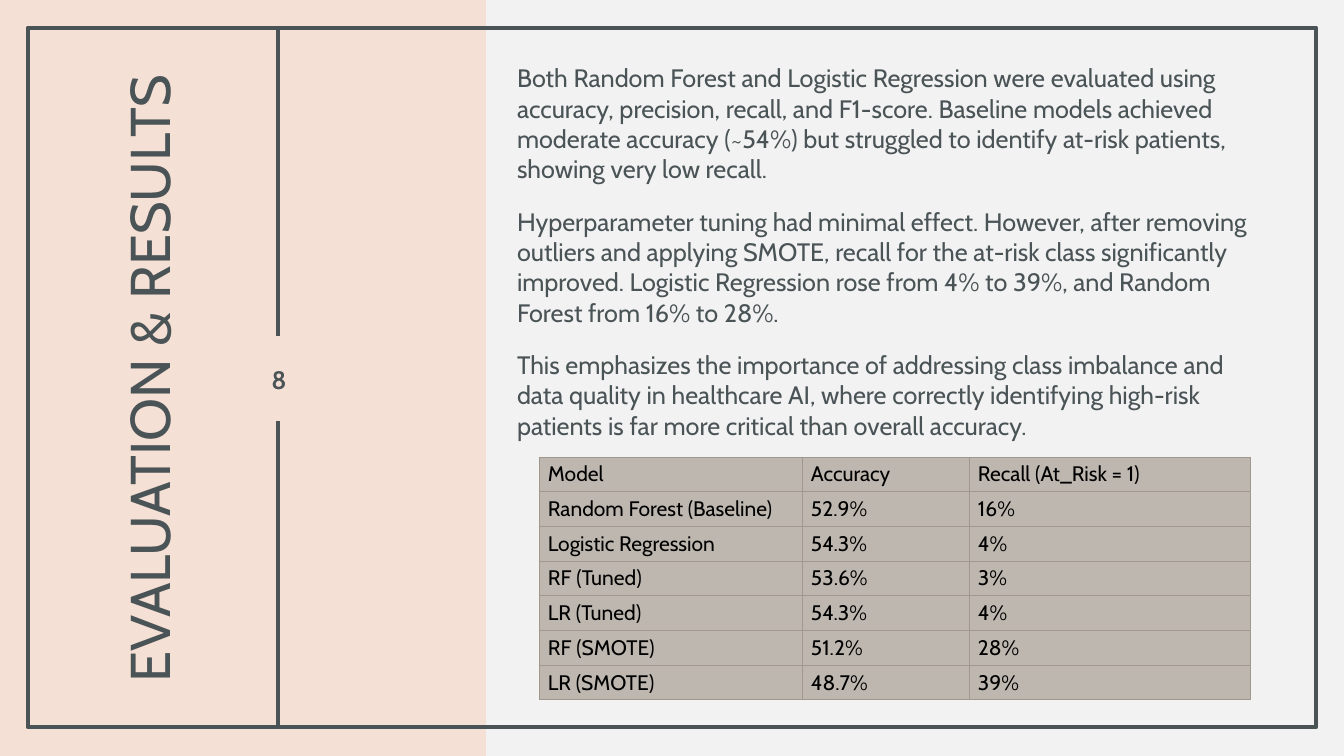
from lxml import etree
from pptx import Presentation
from pptx import util as u
from pptx.dml.color import RGBColor
from pptx.enum import shapes, text
from pptx.oxml.ns import qn

SCALE = 914400 / 100.8  # EMU in one px
FONT = "Cabin"
SLATE, PEACH, PAPER = "4A5356", "F5E0D5", "F2F2F2"
CELL_FILL, CELL_BORDER, BLACK = "BDB7AF", "A0988C", "000000"

FINDINGS = [
    "Both Random Forest and Logistic Regression were evaluated using accuracy, "
    "precision, recall, and F1-score. Baseline models achieved moderate accuracy "
    "(~54%) but struggled to identify at-risk patients, showing very low recall.",
    "Hyperparameter tuning had minimal effect. However, after removing outliers and "
    "applying SMOTE, recall for the at-risk class significantly improved. Logistic "
    "Regression rose from 4% to 39%, and Random Forest from 16% to 28%.",
    "This emphasizes the importance of addressing class imbalance and data quality "
    "in healthcare AI, where correctly identifying high-risk patients is far more "
    "critical than overall accuracy.",
]

RESULTS = [
    ("Model", "Accuracy", "Recall (At_Risk = 1)"),
    ("Random Forest (Baseline)", "52.9%", "16%"),
    ("Logistic Regression", "54.3%", "4%"),
    ("RF (Tuned)", "53.6%", "3%"),
    ("LR (Tuned)", "54.3%", "4%"),
    ("RF (SMOTE)", "51.2%", "28%"),
    ("LR (SMOTE)", "48.7%", "39%"),
]


def px(length):
    return u.Emu(round(length * SCALE))


def colour(value):
    return RGBColor.from_string(value)


def apply(target, values):
    for name, value in values.items():
        setattr(target, name, value)


def write(frame, paragraphs, size, ink, bold=False, **layout):
    """Fill a text frame; layout holds paragraph format values."""
    apply(frame, {"word_wrap": True, "auto_size": text.MSO_AUTO_SIZE.NONE,
                  "vertical_anchor": text.MSO_ANCHOR.MIDDLE})
    for index, words in enumerate(paragraphs):
        paragraph = frame.add_paragraph() if index else frame.paragraphs[0]
        apply(paragraph, layout)
        run = paragraph.add_run()
        run.text = words
        apply(run.font, {"name": FONT, "size": u.Pt(size), "bold": bold})
        run.font.color.rgb = colour(ink)


def set_insets(holder, across, down):
    apply(holder, {"margin_left": px(across), "margin_right": px(across),
                   "margin_top": px(down), "margin_bottom": px(down)})


def add_box(slide, box, fill=None, outline=None):
    shape = slide.shapes.add_shape(shapes.MSO_SHAPE.RECTANGLE, *map(px, box))
    shape.shadow.inherit = False
    if fill:
        shape.fill.solid()
        shape.fill.fore_color.rgb = colour(fill)
    else:
        shape.fill.background()
    if outline:
        shape.line.color.rgb = colour(outline)
        shape.line.width = u.Pt(3.5)
    else:
        shape.line.fill.background()


def add_divider(slide, x, top, bottom):
    divider = slide.shapes.add_connector(
        shapes.MSO_CONNECTOR.STRAIGHT, px(x), px(top), px(x), px(bottom))
    divider.line.color.rgb = colour(SLATE)
    divider.line.width = u.Pt(3.5)
    etree.SubElement(divider.element.spPr, qn("a:effectLst"))


def add_title(slide, words, box):
    title = slide.shapes.title
    # Bring the placeholder in front of the side panel
    title.element.getparent().append(title.element)
    apply(title, dict(zip(("left", "top", "width", "height"), map(px, box))))
    title.rotation = 270
    set_insets(title.text_frame, 20, 0)
    write(title.text_frame, [words], 40, SLATE,
          alignment=text.PP_ALIGN.CENTER, line_spacing=0.9)


def add_text(slide, paragraphs, box, insets, **style):
    frame = slide.shapes.add_textbox(*map(px, box)).text_frame
    set_insets(frame, *insets)
    write(frame, paragraphs, 18, SLATE, **style)
    return frame


def add_borders(cell):
    properties = cell._tc.get_or_add_tcPr()
    for index, side in enumerate(("lnL", "lnR", "lnT", "lnB")):
        border = etree.Element(qn(f"a:{side}"), w=str(u.Pt(0.5)))
        fill = etree.SubElement(border, qn("a:solidFill"))
        etree.SubElement(fill, qn("a:srgbClr"), val=CELL_BORDER)
        properties.insert(index, border)


def add_results(slide, left, top, widths, height):
    table = slide.shapes.add_table(
        len(RESULTS), len(widths), px(left), px(top), px(sum(widths)), px(height)).table
    apply(table, {"first_row": False, "horz_banding": False})
    for column, width in zip(table.columns, widths):
        column.width = px(width)
    for row, values in zip(table.rows, RESULTS):
        row.height = px(height / len(RESULTS))
        for cell, value in zip(row.cells, values):
            cell.fill.solid()
            cell.fill.fore_color.rgb = colour(CELL_FILL)
            set_insets(cell, 9, 4)
            write(cell.text_frame, [value], 15, BLACK)
            cell.vertical_anchor = text.MSO_ANCHOR.MIDDLE
            add_borders(cell)


def main():
    deck = Presentation()
    deck.slide_width, deck.slide_height = px(1344), px(756)
    slide = deck.slides.add_slide(deck.slide_layouts[5])
    slide.background.fill.solid()
    slide.background.fill.fore_color.rgb = colour(PAPER)

    # Side panel, frame and split divider
    add_box(slide, (0, 0, 486, 756), fill=PEACH)
    add_box(slide, (28, 28, 1288, 699), outline=SLATE)
    for top in (28, 421):
        add_divider(slide, 278, top, top + 308)

    # Vertical title, with the page number in the divider's gap
    add_title(slide, "EVALUATION & RESULTS", (-193, 253, 691, 251))
    number = add_text(slide, ["8"], (242, 337, 74, 84), (0, 5), bold=True,
                      alignment=text.PP_ALIGN.CENTER)
    number.paragraphs[0].runs[0].font._element.set("spc", "150")

    # Findings and model scores
    add_text(slide, FINDINGS, (507, 56, 775, 391), (10, 5),
             space_before=u.Pt(10), space_after=u.Pt(6))
    add_results(slide, 539, 457, (263, 167, 281), 243)

    deck.save("out.pptx")


if __name__ == "__main__":
    main()
